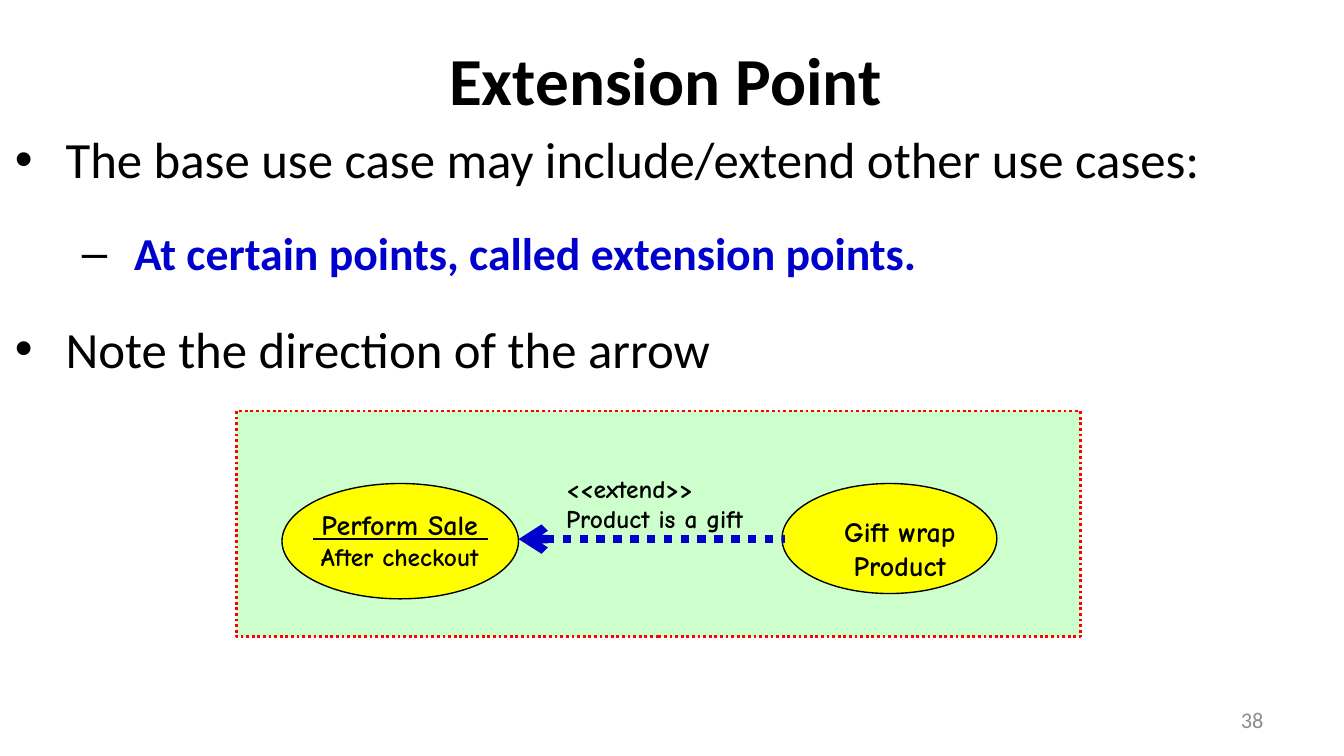
"""Build the Extension Point slide with its use case diagram."""
from lxml import etree
from pptx import Presentation
from pptx.dml.color import RGBColor
from pptx.enum.dml import MSO_LINE
from pptx.enum.shapes import MSO_CONNECTOR, MSO_SHAPE
from pptx.enum.text import MSO_ANCHOR, PP_ALIGN
from pptx.oxml.ns import qn
from pptx.util import Cm, Pt

LEFT, MID, RIGHT = PP_ALIGN.LEFT, PP_ALIGN.CENTER, PP_ALIGN.RIGHT
TOP, CENTER = MSO_ANCHOR.TOP, MSO_ANCHOR.MIDDLE
RECT, OVAL = MSO_SHAPE.RECTANGLE, MSO_SHAPE.OVAL
DOTS, LINE = MSO_LINE.ROUND_DOT, MSO_CONNECTOR.STRAIGHT
BLACK = RGBColor(0, 0, 0)
WHITE = RGBColor(255, 255, 255)
GRAY = RGBColor(0x8C, 0x8C, 0x8C)
BLUE = RGBColor(0, 0, 0xCC)
RED = RGBColor(255, 0, 0)
GREEN = RGBColor(0xCC, 255, 0xCC)
YELLOW = RGBColor(255, 255, 0)
SANS, COMIC = "Calibri", "Comic Neue"
WIDE, SLIM = (0.25, 0.13), (0.18, 0.1)

SHAPES = [
    (RECT, (4.47, 7.77, 15.95, 4.27), GREEN, RED, 1.5, DOTS),
    (OVAL, (5.33, 9.14, 4.47, 2.18), YELLOW, BLACK, 0.75, None),
    (OVAL, (14.78, 9.14, 4.06, 2.08), YELLOW, BLACK, 0.75, None),
]
LINES = [
    (9.8, 14.83, BLUE, 4.5, DOTS, True),
    (5.92, 9.22, BLACK, 0.75, None, False),
]
LEVEL = 10.19
TITLE = [[("Extension Point", 36, BLACK, True)]]
BODY = [
    [("The base use case may include/extend other use cases:", 27.2, BLACK, False)],
    [(" ", 24.5, BLACK, False),
     ("At certain points, called extension points.", 24.5, BLUE, True)],
    [("Note the direction of the arrow", 27.2, BLACK, False)],
]
BULLETS = [("•", 0.96, -0.96), ("–", 2.06, -0.79), ("•", 0.96, -0.96)]
SALE = [[("Perform Sale", 15, BLACK, True)], [("After checkout", 13.6, BLACK, True)]]
GIFT = [[("Gift wrap Product", 15, BLACK, True)]]
EXTEND = [[("<<extend>>", 13.6, BLACK, True)],
          [("Product is a gift", 13.6, BLACK, True)]]
PAGE = [[("38", 12, GRAY, False)]]
TEXTS = [
    ((4.45, 0.64, 16.26, 1.68), TITLE, SANS, MID, CENTER, WIDE, True),
    ((5.51, 9.5, 4.09, 1.42), SALE, COMIC, MID, TOP, SLIM, True),
    ((15.14, 9.63, 3.73, 1.47), GIFT, COMIC, MID, TOP, SLIM, True),
    ((10.52, 8.84, 4.29, 1.35), EXTEND, COMIC, LEFT, TOP, SLIM, False),
    ((18.21, 13.23, 5.92, 0.76), PAGE, SANS, RIGHT, CENTER, WIDE, True),
]


def stroke(line, color, width, dash):
    line.color.rgb = color
    line.width = Pt(width)
    if dash:
        line.dash_style = dash


def add_shape(slide, kind, box, fill, color, width, dash):
    shape = slide.shapes.add_shape(kind, *map(Cm, box))
    shape.shadow.inherit = False
    shape.fill.solid()
    shape.fill.fore_color.rgb = fill
    stroke(shape.line, color, width, dash)


def add_line(slide, start, end, color, width, dash, arrow):
    link = slide.shapes.add_connector(LINE, *map(Cm, (start, LEVEL, end, LEVEL)))
    stroke(link.line, color, width, dash)
    props = link._element.spPr
    if arrow:
        etree.SubElement(props.find(qn("a:ln")), qn("a:headEnd"), type="arrow")
    etree.SubElement(props, qn("a:effectLst"))


def add_text(slide, box, paras, font, align, anchor, inset, wrap):
    frame = slide.shapes.add_textbox(*map(Cm, box)).text_frame
    frame.word_wrap = wrap
    frame.vertical_anchor = anchor
    frame.margin_left = frame.margin_right = Cm(inset[0])
    frame.margin_top = frame.margin_bottom = Cm(inset[1])
    for i, runs in enumerate(paras):
        para = frame.add_paragraph() if i else frame.paragraphs[0]
        para.alignment = align
        for words, size, color, bold in runs:
            run = para.add_run()
            run.text = words
            run.font.name = font
            run.font.size = Pt(size)
            run.font.color.rgb = color
            run.font.bold = bold
    return frame


def add_body(slide):
    frame = add_text(slide, (0.03, 2.06, 25.4, 7.77), BODY, SANS, LEFT, TOP, WIDE, True)
    for para, (mark, margin, indent) in zip(frame.paragraphs, BULLETS):
        para.line_spacing = 1.2
        para.space_before = Pt(4.1)
        para.space_after = Pt(9.5)
        props = para._p.get_or_add_pPr()
        props.set("marL", str(Cm(margin)))
        props.set("indent", str(Cm(indent)))
        etree.SubElement(props, qn("a:buFont"), typeface="Arial")
        etree.SubElement(props, qn("a:buChar"), char=mark)


def main():
    deck = Presentation()
    deck.slide_width, deck.slide_height = Cm(25.4), Cm(14.29)
    slide = deck.slides.add_slide(deck.slide_layouts[6])
    slide.background.fill.solid()
    slide.background.fill.fore_color.rgb = WHITE
    for item in SHAPES:
        add_shape(slide, *item)
    for item in LINES:
        add_line(slide, *item)
    add_body(slide)
    for item in TEXTS:
        add_text(slide, *item)
    deck.save("out.pptx")


if __name__ == "__main__":
    main()
